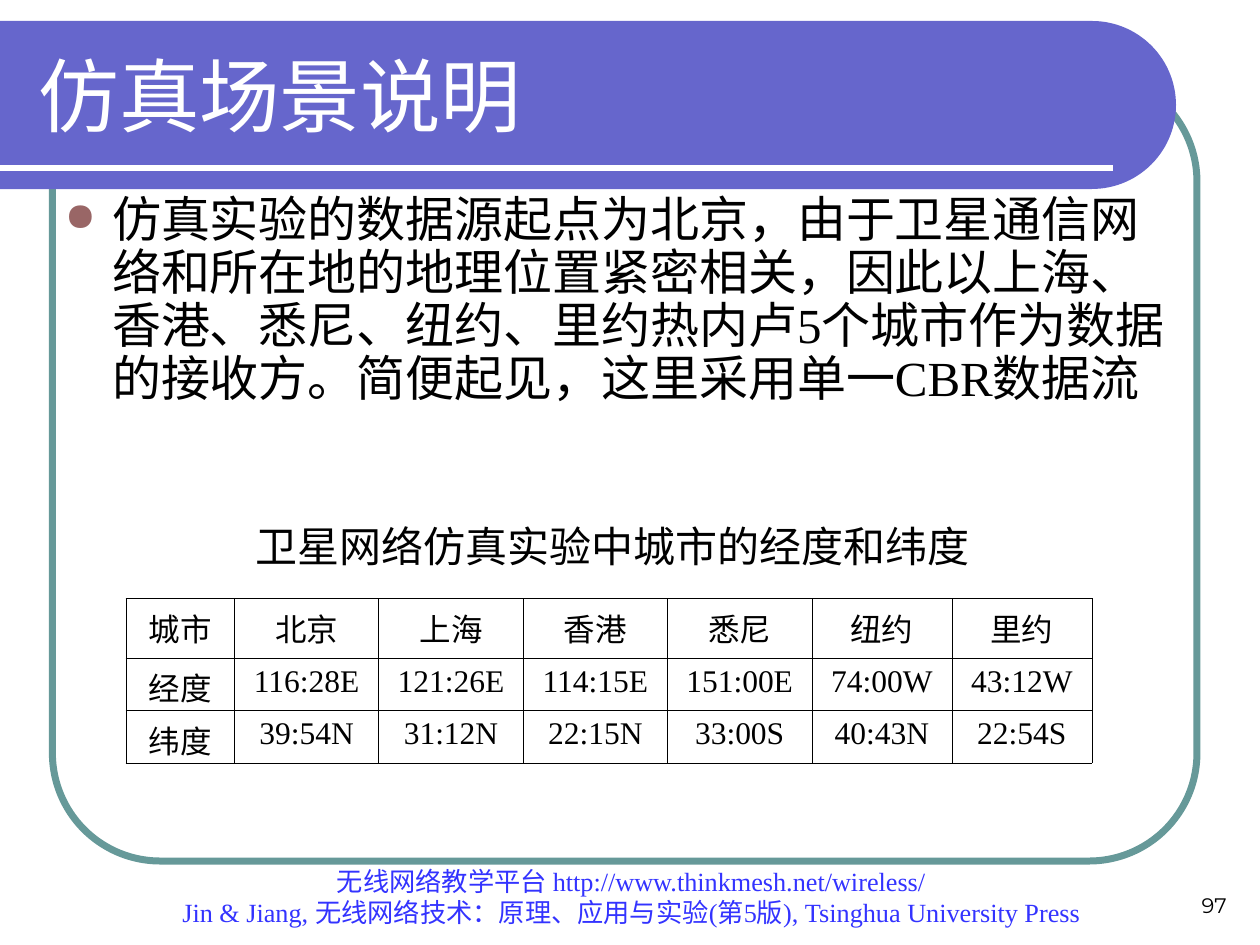
import math

import lxml.etree
import pptx
import pptx.dml.color
import pptx.enum.shapes
import pptx.enum.text
import pptx.oxml.ns
import pptx.util

Pt = pptx.util.Pt
RGBColor = pptx.dml.color.RGBColor
Align = pptx.enum.text.PP_ALIGN
Anchor = pptx.enum.text.MSO_ANCHOR
qn = pptx.oxml.ns.qn

BLACK = RGBColor(0, 0, 0)
WHITE = RGBColor(255, 255, 255)
VIOLET = RGBColor(0x66, 0x66, 0xCC)
TEAL = RGBColor(0x66, 0x99, 0x99)
BROWN = RGBColor(0x99, 0x66, 0x66)
BLUE = RGBColor(0x33, 0x33, 0xFF)
SERIF = "Times New Roman"
SANS = "Arial"
NUMBER_FONT = "Montserrat"


def add_xml(parent, tag, **attributes):
    return lxml.etree.SubElement(parent, qn(tag), attributes)


class SlideWriter:
    def __init__(self, page, font):
        self.page = page
        self.font = font

    def format_text(self, para, size, color, font=None, align=Align.LEFT):
        para.alignment = align
        for span in para.runs:
            span.font.name = font or self.font
            span.font.size = Pt(size)
            span.font.color.rgb = color

    def text(self, left, top, width, height, words, size, color=BLACK,
             font=None, align=Align.LEFT, anchor=Anchor.MIDDLE):
        box = self.page.shapes.add_textbox(Pt(left), Pt(top), Pt(width), Pt(height))
        frame = box.text_frame
        frame.word_wrap = True
        frame.vertical_anchor = anchor
        frame.text = words
        for para in frame.paragraphs:
            self.format_text(para, size, color, font, align)
        return frame

    def bullet(self, para, indent, color, percent):
        properties = para._p.get_or_add_pPr()
        properties.set("marL", str(Pt(indent)))
        properties.set("indent", str(-Pt(indent)))
        tint = add_xml(properties, "a:buClr")
        add_xml(tint, "a:srgbClr", val=str(color))
        add_xml(properties, "a:buSzPct", val=str(percent * 1000))
        add_xml(properties, "a:buChar", char="●")

    def round_frame(self, left, top, width, height, radius, color, weight):
        kind = pptx.enum.shapes.MSO_SHAPE.ROUNDED_RECTANGLE
        shape = self.page.shapes.add_shape(kind, Pt(left), Pt(top), Pt(width), Pt(height))
        shape.adjustments[0] = radius / min(width, height)
        shape.shadow.inherit = False
        shape.fill.background()
        shape.line.color.rgb = color
        shape.line.width = Pt(weight)

    def banner(self, top, width, height, color):
        """Bar from the left edge with a half-round right end."""
        radius = height / 2
        arc = [math.radians(angle) for angle in range(-90, 91, 3)]
        points = [(Pt(width - radius + radius * math.cos(angle)),
                   Pt(top + radius + radius * math.sin(angle))) for angle in arc]
        builder = self.page.shapes.build_freeform(0, Pt(top))
        builder.add_line_segments(points + [(0, Pt(top + height))], close=True)
        shape = builder.convert_to_shape()
        shape.shadow.inherit = False
        shape.fill.solid()
        shape.fill.fore_color.rgb = color
        shape.line.fill.background()

    def line(self, x1, y1, x2, y2, color, weight):
        kind = pptx.enum.shapes.MSO_CONNECTOR.STRAIGHT
        rule = self.page.shapes.add_connector(kind, Pt(x1), Pt(y1), Pt(x2), Pt(y2))
        rule.line.color.rgb = color
        rule.line.width = Pt(weight)
        add_xml(rule._element.spPr, "a:effectLst")

    def cell_borders(self, cell, color, weight):
        properties = cell._tc.get_or_add_tcPr()
        for side in ("a:lnL", "a:lnR", "a:lnT", "a:lnB"):
            edge = add_xml(properties, side, w=str(Pt(weight)))
            fill = add_xml(edge, "a:solidFill")
            add_xml(fill, "a:srgbClr", val=str(color))

    def table(self, left, top, widths, heights, rows, size):
        table = self.page.shapes.add_table(
            len(rows), len(widths), Pt(left), Pt(top),
            Pt(sum(widths)), Pt(sum(heights))).table
        table.first_row = table.horz_banding = False
        for column, width in zip(table.columns, widths):
            column.width = Pt(width)
        for row, height, words in zip(table.rows, heights, rows):
            row.height = Pt(height)
            for cell, word in zip(row.cells, words):
                cell.text = word
                self.format_text(cell.text_frame.paragraphs[0], size, BLACK,
                                 align=Align.CENTER)
                self.cell_borders(cell, BLACK, 0.45)
                cell.fill.background()


def main():
    deck = pptx.Presentation()
    deck.slide_width, deck.slide_height = Pt(720), Pt(540)
    writer = SlideWriter(deck.slides.add_slide(deck.slide_layouts[6]), SERIF)

    # Frame and title banner
    writer.round_frame(30, 42, 654, 450, 61.65, TEAL, 4)
    writer.banner(12, 672, 96, VIOLET)
    writer.line(0, 96, 636, 96, WHITE, 3)

    # Footer and page number
    writer.text(55.5, 504, 610.5, 30,
                "无线网络教学平台 http://www.thinkmesh.net/wireless/\n"
                "Jin & Jiang, 无线网络技术：原理、应用与实验(第5版), Tsinghua University Press",
                15, BLUE, align=Align.CENTER, anchor=Anchor.BOTTOM)
    writer.text(540, 492, 168, 36, "97", 12, font=NUMBER_FONT,
                align=Align.RIGHT, anchor=Anchor.BOTTOM)

    # Title and body
    writer.text(15, 18, 631.5, 72, "仿真场景说明", 46, WHITE, SANS)
    body = writer.text(
        30, 108, 648, 174,
        "仿真实验的数据源起点为北京，由于卫星通信网络和所在地的地理位置紧密相关，"
        "因此以上海、香港、悉尼、纽约、里约热内卢5个城市作为数据的接收方。"
        "简便起见，这里采用单一CBR数据流", 28, anchor=Anchor.TOP)
    para = body.paragraphs[0]
    para.line_spacing = 0.9
    writer.bullet(para, 27, BROWN, 80)

    # City coordinates
    writer.table(72, 342, [62, 82.5, 82.5, 82.5, 82.5, 80, 80], [34, 30, 30], [
        ["城市", "北京", "上海", "香港", "悉尼", "纽约", "里约"],
        ["经度", "116:28E", "121:26E", "114:15E", "151:00E", "74:00W", "43:12W"],
        ["纬度", "39:54N", "31:12N", "22:15N", "33:00S", "40:43N", "22:54S"],
    ], 18)
    writer.text(139, 294, 428, 36, "卫星网络仿真实验中城市的经度和纬度", 24, font=SANS)

    deck.save("out.pptx")


if __name__ == "__main__":
    main()
